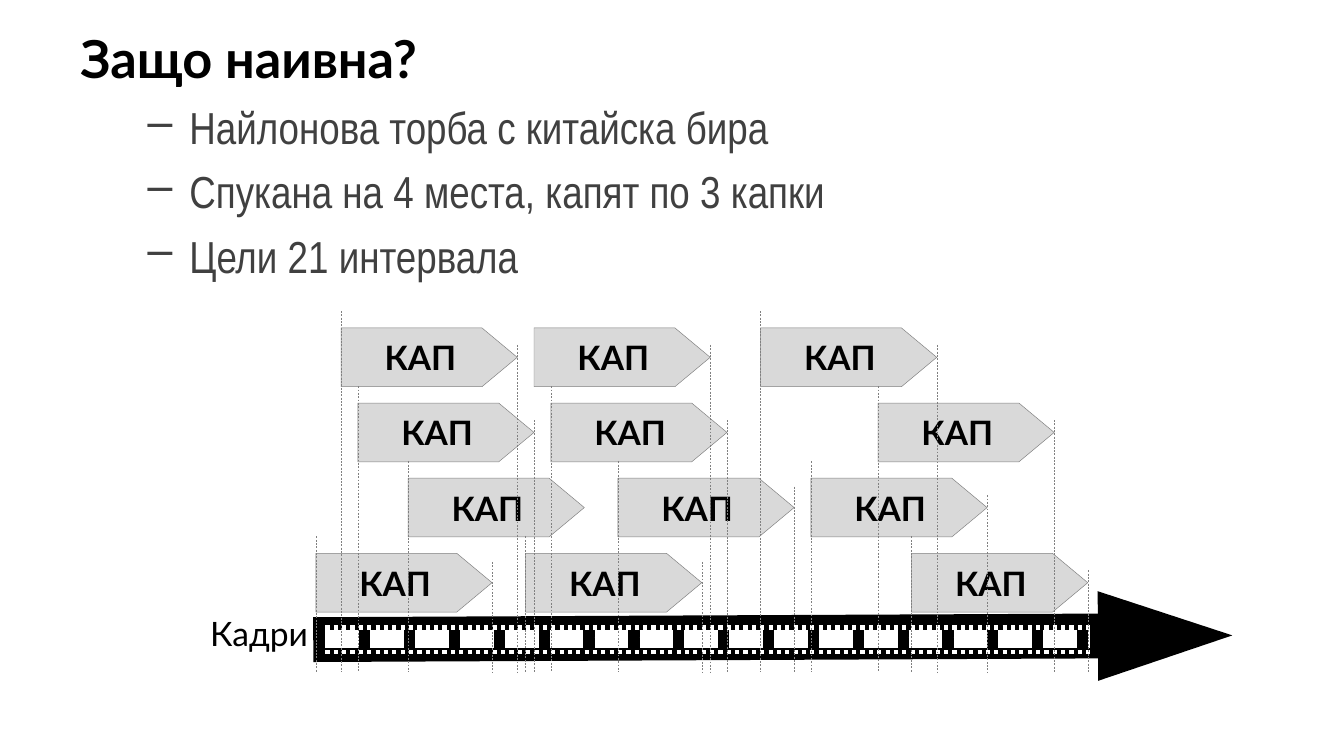
import pptx
import pptx.dml.color
import pptx.enum.dml
import pptx.enum.shapes
import pptx.enum.text
import pptx.oxml.ns
import pptx.util
from lxml import etree

Cm = pptx.util.Cm
Pt = pptx.util.Pt
DASH = pptx.enum.dml.MSO_LINE
ALIGN = pptx.enum.text.PP_ALIGN

DROP_WIDTH, DROP_HEIGHT = 3.33, 1.11
INTERVALS_PER_DROP = 21
INTERVAL = DROP_WIDTH / INTERVALS_PER_DROP
TIMELINE_LEFT, GUIDE_BOTTOM = 5.97, 12.7
FIRST_ROW_TOP, ROW_STEP = 6.2, 1.42

# Starting interval of each drop, one row per hole
DROP_STARTS = [[3, 26, 53], [5, 28, 67], [11, 36, 59], [0, 25, 71]]
UNMARKED_START, UNMARKED_END = 26, 32

BULLETS = [
    "Найлонова торба с китайска бира",
    "Спукана на 4 места, капят по 3 капки",
    "Цели 21 интервала",
]


def colour(value):
    return pptx.dml.color.RGBColor.from_string(value)


def add_element(parent, tag, **attributes):
    return etree.SubElement(parent, pptx.oxml.ns.qn(tag), attributes)


def write(para, text, font="Lato", size=18, ink="000000", bold=False,
          align=ALIGN.LEFT, before=0, spacing=None):
    para.alignment = align
    para.space_before = Pt(before)
    if spacing:
        para.line_spacing = Pt(spacing)
    span = para.add_run()
    span.text = text
    span.font.name = font
    span.font.size = Pt(size)
    span.font.bold = bold
    span.font.color.rgb = colour(ink)


class Painter:
    """Holds the diagram's style and the slide being drawn."""
    grey = "808080"
    drop_fill = "D9D9D9"
    body_ink = "404040"

    def __init__(self, slide):
        self.slide = slide

    def text_box(self, left, top, width, height):
        box = self.slide.shapes.add_textbox(Cm(left), Cm(top), Cm(width), Cm(height))
        box.text_frame.word_wrap = True
        return box.text_frame

    def bullet(self, frame, text):
        para = frame.add_paragraph()
        write(para, text, font="Arial Narrow", size=24, ink=self.body_ink, before=5.6)
        properties = para._p.get_or_add_pPr()
        properties.set("marL", str(Cm(2.06)))
        properties.set("indent", str(Cm(-0.79)))
        add_element(properties, "a:buChar", char="–")

    def line(self, start, end, ink, width, dash=None, arrow=False):
        connector = self.slide.shapes.add_connector(
            pptx.enum.shapes.MSO_CONNECTOR.STRAIGHT, *map(Cm, start + end))
        connector.line.color.rgb = colour(ink)
        connector.line.width = Pt(width)
        if dash:
            connector.line.dash_style = dash
        if arrow:
            add_element(connector.line._get_or_add_ln(), "a:tailEnd",
                        type="triangle", w="sm", len="med")
        add_element(connector._element.spPr, "a:effectLst")

    def guide(self, interval, top):
        x = TIMELINE_LEFT + interval * INTERVAL
        self.line((x, top), (x, GUIDE_BOTTOM), self.grey, 0.25, DASH.DASH)

    def drop(self, interval, top):
        shape = self.slide.shapes.add_shape(
            pptx.enum.shapes.MSO_SHAPE.PENTAGON,
            Cm(TIMELINE_LEFT + interval * INTERVAL), Cm(top),
            Cm(DROP_WIDTH), Cm(DROP_HEIGHT))
        shape.adjustments[0] = 0.6
        shape.shadow.inherit = False
        shape.fill.solid()
        shape.fill.fore_color.rgb = colour(self.drop_fill)
        shape.line.color.rgb = colour(self.grey)
        shape.line.width = Pt(0.25)
        frame = shape.text_frame
        frame.word_wrap = False
        frame.vertical_anchor = pptx.enum.text.MSO_ANCHOR.MIDDLE
        write(frame.paragraphs[0], "КАП", bold=True, align=ALIGN.CENTER)

    def film(self):
        """Draws the frames and the perforations above and below them."""
        for y, width, dash in [(12.01, 6, DASH.SQUARE_DOT), (12.14, 6, DASH.SQUARE_DOT),
                               (11.86, 2.25, DASH.ROUND_DOT), (12.32, 2.25, DASH.ROUND_DOT)]:
            self.line((6.15, y), (20.6, y), "FFFFFF", width, dash)


def main():
    deck = pptx.Presentation()
    deck.slide_width, deck.slide_height = Cm(25.4), Cm(14.29)
    painter = Painter(deck.slides.add_slide(deck.slide_layouts[6]))

    painter.line((5.92, 12.09), (23.29, 12.01), "000000", 24, arrow=True)
    body = painter.text_box(1.27, 0.38, 24.13, 13.13)
    write(body.paragraphs[0], "Защо наивна?", size=28, bold=True)
    for text in BULLETS:
        painter.bullet(body, text)

    painter.film()
    label = painter.text_box(3.38, 11.66, 2.44, 0.89)
    label.margin_left = label.margin_right = 0
    write(label.paragraphs[0], "Кадри", align=ALIGN.RIGHT, spacing=16)

    guides = []
    for row, starts in enumerate(DROP_STARTS):
        top = FIRST_ROW_TOP + row * ROW_STEP
        for start in starts:
            painter.drop(start, top)
            end = start + INTERVALS_PER_DROP
            if start != UNMARKED_START:
                guides.append((start, top - 0.32))
            if end != UNMARKED_END:
                raised = row >= 2 and start != starts[-1]
                guides.append((end, top + (0.16 if raised else 0.32)))
    for interval, top in guides:
        painter.guide(interval, top)

    deck.save("out.pptx")


if __name__ == "__main__":
    main()
